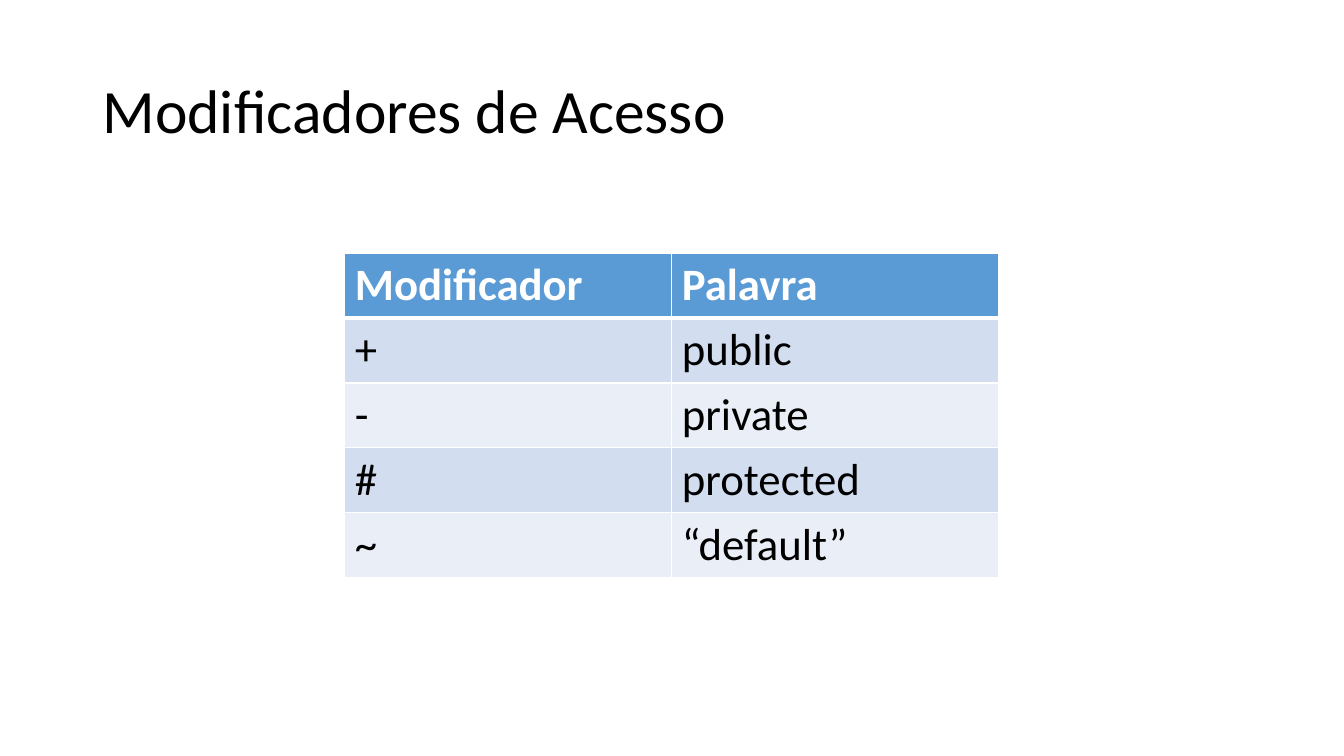
from lxml import etree
from pptx import Presentation
from pptx import util as u
from pptx.dml.color import RGBColor
from pptx.enum import text
from pptx.oxml import ns

HUES = {
    "ink": "000000",
    "paper": "FFFFFF",
    "head": "5B9BD5",
    "odd": "D2DEEF",
    "even": "EAEFF7",
}
ROWS = [
    ("Modificador", "Palavra"),
    ("+", "public"),
    ("-", "private"),
    ("#", "protected"),
    ("~", "“default”"),
]


def hue(name):
    return RGBColor.from_string(HUES[name])


class Deck:
    """Holds the style and the current slide."""

    font = "Calibri"

    def __init__(self, wide, high):
        self.prs = Presentation()
        self.prs.slide_width = u.Cm(wide)
        self.prs.slide_height = u.Cm(high)
        self.slide = self.prs.slides.add_slide(self.prs.slide_layouts[5])

    def style(self, para, size, color, bold=False):
        for run in para.runs:
            font = run.font
            font.name, font.size, font.bold = self.font, u.Pt(size), bold
            font.color.rgb = hue(color)

    def title(self, words, left, top, wide, high):
        shape = self.slide.shapes.title
        shape.left, shape.top = u.Cm(left), u.Cm(top)
        shape.width, shape.height = u.Cm(wide), u.Cm(high)
        frame = shape.text_frame
        frame.text = words
        frame.word_wrap = True
        frame.auto_size = text.MSO_AUTO_SIZE.NONE
        frame.vertical_anchor = text.MSO_ANCHOR.MIDDLE
        para = frame.paragraphs[0]
        para.alignment = text.PP_ALIGN.LEFT
        para.line_spacing = 0.9
        self.style(para, 44, "ink")

    def edge(self, cell, side, width):
        props = cell._tc.get_or_add_tcPr()
        line = etree.SubElement(props, ns.qn("a:ln" + side), w=str(u.Pt(width)))
        fill = etree.SubElement(line, ns.qn("a:solidFill"))
        etree.SubElement(fill, ns.qn("a:srgbClr"), val=HUES["paper"])

    def table(self, rows, left, top, wide, high):
        grid = self.slide.shapes.add_table(
            len(rows), len(rows[0]),
            u.Cm(left), u.Cm(top), u.Cm(wide), u.Cm(high)).table
        for r, row in enumerate(rows):
            for c, words in enumerate(row):
                cell = grid.cell(r, c)
                cell.text = words
                # A thick rule parts the header from the body
                for side in "LRTB":
                    thick = (r, side) in ((0, "B"), (1, "T"))
                    self.edge(cell, side, 3 if thick else 1)
                # Header fill, then alternating bands
                band = "head" if r == 0 else "odd" if r % 2 else "even"
                cell.fill.solid()
                cell.fill.fore_color.rgb = hue(band)
                self.style(cell.text_frame.paragraphs[0], 32,
                           "paper" if r == 0 else "ink", r == 0)


def main():
    deck = Deck(33.87, 19.05)
    # Heading
    deck.title("Modificadores de Acesso", 2.33, 1.01, 29.21, 3.68)
    # Access modifiers
    deck.table(ROWS, 8.69, 6.38, 16.48, 8.13)
    deck.prs.save("out.pptx")


if __name__ == "__main__":
    main()
